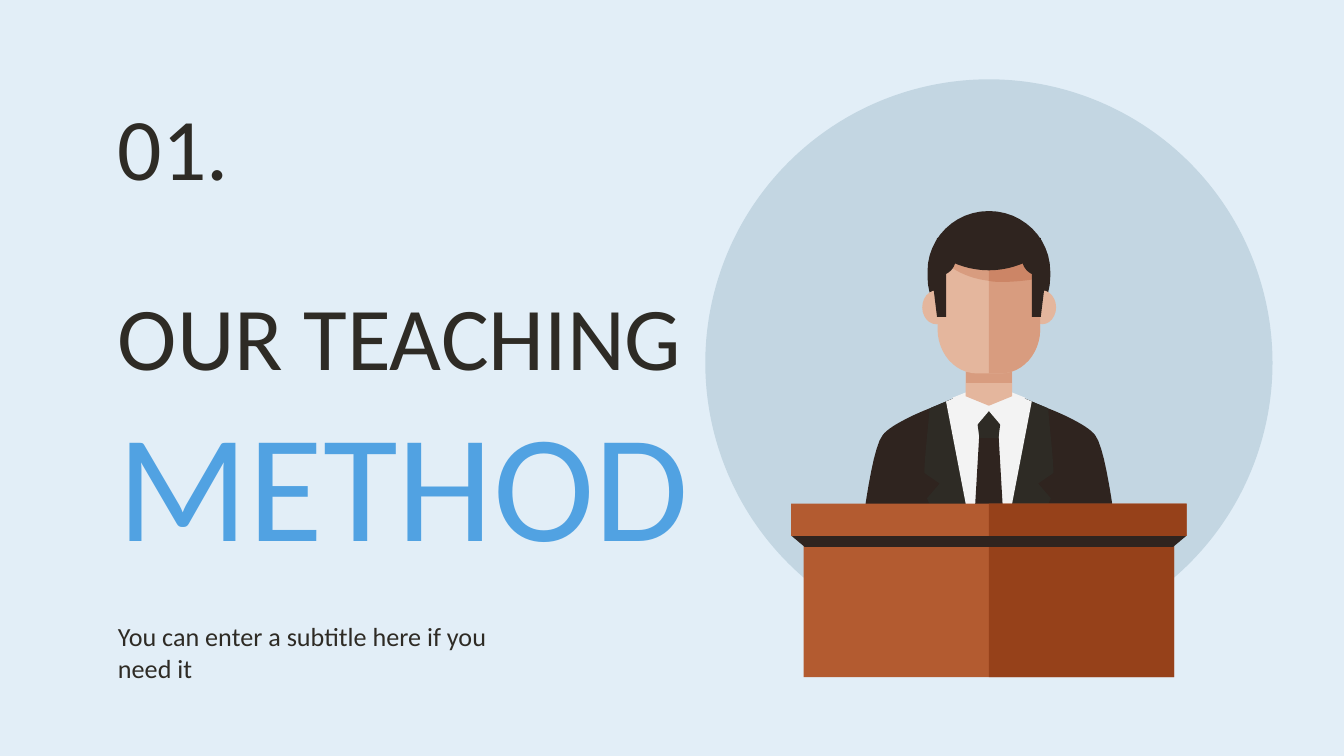
import pptx
import pptx.util
import pptx.dml.color
import pptx.enum.shapes
import pptx.enum.text

Cm = pptx.util.Cm
SHAPES = pptx.enum.shapes.MSO_SHAPE
ANCHORS = pptx.enum.text.MSO_ANCHOR

COLORS = {
    "background": "E2EEF7", "text": "2E2B25", "accent": "51A2E2",
    "disc": "C3D6E2", "dark": "2F241F", "lapel": "2E2B25",
    "shirt": "F3F3F3", "skin": "E4B69D", "shade": "D89C7F",
    "brow": "CC8566", "wood": "B35B30", "wood_dark": "96411A",
}
AXIS = 18.69


def flatten(outline, steps=12):
    points = [outline[0]]
    for part in outline[1:]:
        if len(part) == 2:
            points.append(part)
            continue
        x0, y0 = points[-1]
        x1, y1, x2, y2, x3, y3 = part
        for i in range(1, steps + 1):
            t = i / steps
            u = 1 - t
            a, b, c, d = u ** 3, 3 * u * u * t, 3 * u * t * t, t ** 3
            points.append((a * x0 + b * x1 + c * x2 + d * x3,
                           a * y0 + b * y1 + c * y2 + d * y3))
    return points


class Deck:
    font = "Calibri"

    def __init__(self, prs):
        self.slide = prs.slides.add_slide(prs.slide_layouts[0])
        fill = self.slide.background.fill
        fill.solid()
        fill.fore_color.rgb = self.color("background")

    def color(self, name):
        return pptx.dml.color.RGBColor.from_string(COLORS[name])

    def paint(self, sp, color):
        sp.shadow.inherit = False
        sp.fill.solid()
        sp.fill.fore_color.rgb = self.color(color)
        sp.line.fill.background()

    def shape(self, kind, x, y, w, h, color):
        sp = self.slide.shapes.add_shape(kind, Cm(x), Cm(y), Cm(w), Cm(h))
        self.paint(sp, color)

    def outline(self, points, color, mirror=True):
        points = flatten(points)
        if mirror:
            points += [(-x, y) for x, y in reversed(points)]
        points = [(Cm(AXIS + x), Cm(y)) for x, y in points]
        builder = self.slide.shapes.build_freeform(*points[0])
        builder.add_line_segments(points[1:], close=True)
        self.paint(builder.convert_to_shape(), color)

    def text(self, sp, box, runs, anchor=ANCHORS.TOP, top=0.25, bottom=0.25):
        sp.left, sp.top, sp.width, sp.height = map(Cm, box)
        tf = sp.text_frame
        tf.word_wrap = True
        tf.auto_size = pptx.enum.text.MSO_AUTO_SIZE.NONE
        tf.vertical_anchor = anchor
        tf.margin_left = tf.margin_right = Cm(0.25)
        tf.margin_top, tf.margin_bottom = Cm(top), Cm(bottom)
        p = tf.paragraphs[0]
        p.alignment = pptx.enum.text.PP_ALIGN.LEFT
        p.space_before = pptx.util.Pt(0)
        for words, size, color in runs:
            r = p.add_run()
            r.text = words
            r.font.name = self.font
            r.font.size = pptx.util.Pt(size)
            r.font.color.rgb = self.color(color)

    def number(self, box, runs):
        self.text(self.slide.shapes.add_textbox(0, 0, 0, 0), box, runs)


def draw_speaker(deck):
    deck.outline([(0.33, 7.39), (0.81, 7.59), (1.12, 7.72),
                  (1.5, 7.87, 1.91, 8.08, 2.01, 8.23),
                  (2.24, 8.51, 2.44, 10.36, 2.44, 10.36)], "dark")
    deck.outline([(0.33, 7.39), (0.81, 7.59), (1.12, 7.72),
                  (1.14, 8, 1.22, 8.69, 1.22, 8.94),
                  (0.93, 9.14), (1.17, 9.42), (0.76, 10.36)], "lapel")
    deck.outline([(0.33, 7.39), (0.81, 7.59), (0.3, 10.24), (0.28, 10.36)], "shirt")
    deck.outline([(0.18, 8.18), (0.3, 10.24), (0.28, 10.36)], "dark")
    deck.outline([(0.25, 7.75), (0.18, 8.28)], "lapel")
    deck.outline([(0, 7.59), (0.44, 7.42), (0.69, 7.52), (0.28, 8.1), (0, 7.77)], "shirt")
    deck.outline([(0.44, 6.86), (0.44, 7.49), (0, 7.67)], "skin")
    deck.outline([(0.44, 7.04), (0.44, 7.24)], "shade")
    deck.outline([(0, 3.99), (0.64, 3.99, 1.16, 4.5, 1.16, 5.13), (1.16, 5.23),
                  (1.16, 5.87, 0.64, 6.38, 0, 6.38)], "dark")
    for side in (-1, 1):
        deck.shape(SHAPES.OVAL, AXIS + side - 0.26, 5.49, 0.53, 0.64, "skin")
    face = [(0, 4.65), (0.97, 4.65), (0.97, 6.22),
            (0.97, 6.68, 0.64, 7.06, 0.22, 7.06), (0, 7.06)]
    deck.outline(face, "skin")
    deck.outline([(0, 4.65), (-0.94, 4.65), (-0.94, 4.85),
                  (-0.94, 4.85, -0.66, 5.23, 0, 5.31)], "shade", mirror=False)
    deck.outline(face, "shade", mirror=False)
    deck.outline([(0, 4.65), (0.97, 4.65), (0.97, 5.26),
                  (0.69, 5.31, 0.46, 5.33, 0.25, 5.33),
                  (0.18, 5.33, 0.08, 5.33, 0, 5.31)], "brow", mirror=False)
    deck.outline([(0, 4.27), (0.3, 4.27, 0.86, 4.5, 0.98, 4.5), (1.04, 4.95),
                  (1.04, 5.51), (0.98, 5.99), (0.81, 5.99), (0.81, 5.18),
                  (0.71, 5.13, 0.66, 5.05, 0.64, 4.98),
                  (0.48, 5.05, 0.25, 5.11, 0, 5.11)], "dark")


def draw_desk_block(deck, y, half, h):
    deck.shape(SHAPES.RECTANGLE, AXIS - half, y, 2 * half, h, "wood")
    deck.shape(SHAPES.RECTANGLE, AXIS, y, half, h, "wood_dark")


def main():
    prs = pptx.Presentation()
    prs.slide_width, prs.slide_height = Cm(25.4), Cm(14.29)
    deck = Deck(prs)
    title, subtitle = deck.slide.placeholders
    deck.text(title, (1.98, 4.95, 12.22, 5.72),
              [("OUR TEACHING ", 48, "text"), ("METHOD", 82, "accent")],
              ANCHORS.MIDDLE, top=0.51, bottom=0)
    deck.text(subtitle, (1.98, 11.48, 8.15, 1.6),
              [("You can enter a subtitle here if you need it", 14, "text")])
    deck.number((1.98, 1.5, 6.02, 2.01), [("01.", 47, "text")])
    deck.shape(SHAPES.OVAL, 13.33, 1.5, 10.72, 10.72, "disc")
    draw_speaker(deck)
    draw_desk_block(deck, 10.29, 3.5, 2.51)
    deck.outline([(2.51, 9.96), (3.73, 10.13), (3.48, 10.34)], "dark")
    draw_desk_block(deck, 9.52, 3.74, 0.61)
    prs.save("out.pptx")


if __name__ == "__main__":
    main()
